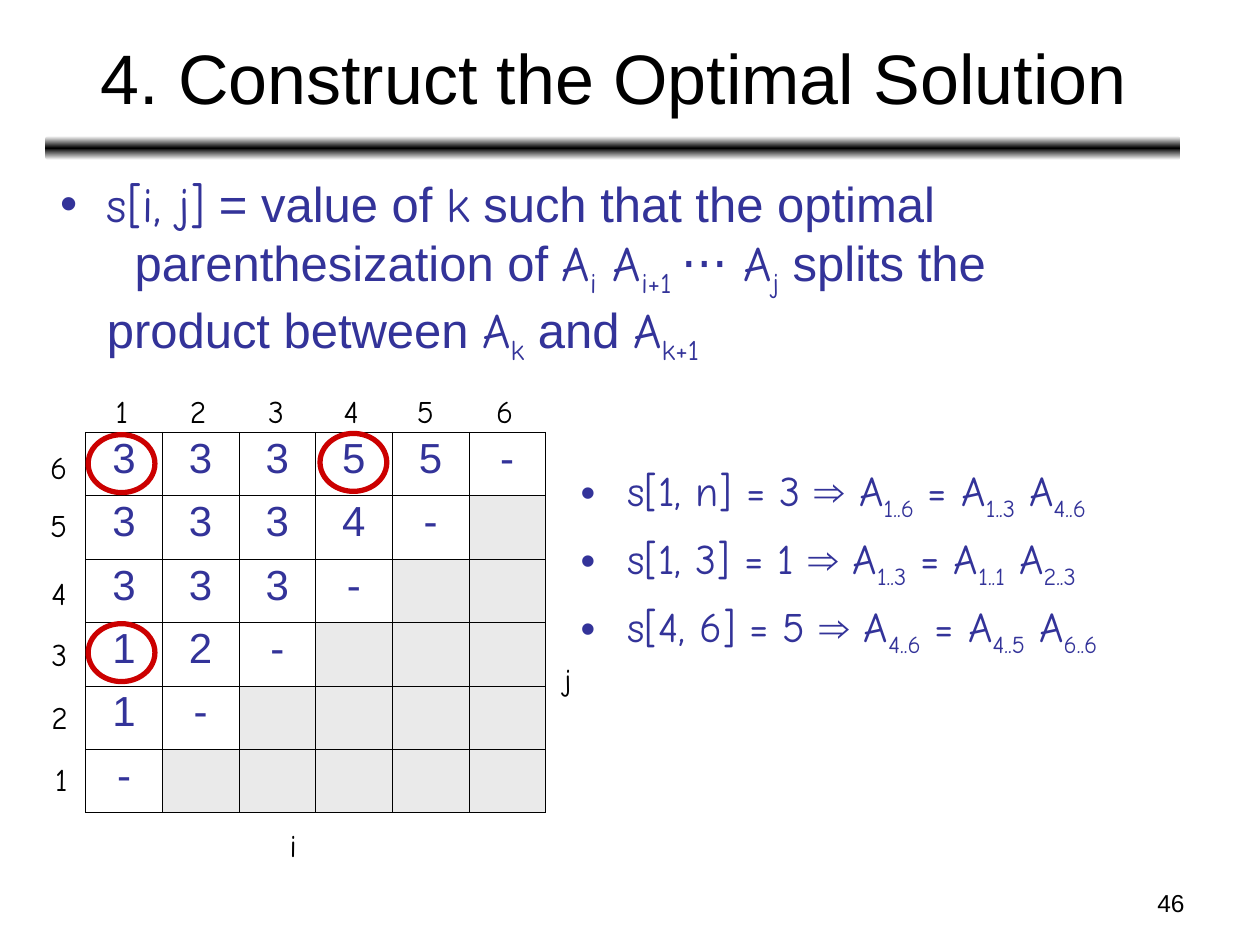
from copy import deepcopy

from lxml.etree import SubElement
from pptx import Presentation
from pptx.dml.color import RGBColor
from pptx.enum.shapes import MSO_SHAPE
from pptx.enum.text import MSO_ANCHOR, MSO_AUTO_SIZE, PP_ALIGN
from pptx.oxml import parse_xml
from pptx.oxml.ns import nsdecls, qn
from pptx.util import Inches, Pt

SANS = "Arial"
HAND = "Comic Neue"
BLACK, INDIGO, RED, GREY = "000000", "333399", "CC0000", "EAEAEA"
SPLITS = ["33355-", "3334-", "333-", "12-", "1-", "-"]


def color(value):
    return RGBColor.from_string(value)


def style(paragraph, size, ink, name=None):
    paragraph.font.size = Pt(size)
    paragraph.font.color.rgb = color(ink)
    if name:
        paragraph.font.name = name


def add_frame(slide, left, top, width, height, wrap=True):
    box = slide.shapes.add_textbox(
        Inches(left), Inches(top), Inches(width), Inches(height))
    box.text_frame.word_wrap = wrap
    return box.text_frame


def add_label(slide, text, left, top, width=0.33):
    frame = add_frame(slide, left, top, width, 0.4, wrap=False)
    frame.auto_size = MSO_AUTO_SIZE.SHAPE_TO_FIT_TEXT
    frame.text = text
    style(frame.paragraphs[0], 18, BLACK, HAND)


def add_line(slide, text, place, size, align, anchor=MSO_ANCHOR.TOP):
    frame = add_frame(slide, *place)
    frame.vertical_anchor = anchor
    frame.text = text
    frame.paragraphs[0].alignment = align
    style(frame.paragraphs[0], size, BLACK, SANS)


def set_indent(paragraph, first_line, bullet=False):
    props = paragraph._p.get_or_add_pPr()
    props.set("marL", str(Inches(0.37)))
    props.set("indent", str(Inches(first_line)))
    if bullet:
        SubElement(props, qn("a:buFont")).set("typeface", SANS)
        SubElement(props, qn("a:buChar")).set("char", "•")
    else:
        SubElement(props, qn("a:buNone"))


def add_run(paragraph, text, name, subscript=False):
    run = paragraph.add_run()
    run.text = text
    run.font.name = name
    if subscript:
        run.font._element.set("baseline", "-25000")


def add_product(paragraph, subscript, lead=""):
    add_run(paragraph, lead + "A", HAND)
    add_run(paragraph, subscript, HAND, subscript=True)


def add_definition(slide):
    frame = add_frame(slide, 0.38, 1.33, 9, 1.65)
    opening = frame.paragraphs[0]
    set_indent(opening, -0.37, bullet=True)
    style(opening, 28, INDIGO)
    add_run(opening, "s[i, j]", HAND)
    add_run(opening, " = value of ", SANS)
    add_run(opening, "k", HAND)
    add_run(opening, " such that the optimal", SANS)

    rest = frame.add_paragraph()
    set_indent(rest, 0.22)
    style(rest, 28, INDIGO)
    add_run(rest, "parenthesization of ", SANS)
    add_product(rest, "i")
    add_product(rest, "i+1 ", lead=" ")
    add_run(rest, "⋅⋅⋅", SANS)
    add_product(rest, "j", lead=" ")
    add_run(rest, " splits the", SANS)
    rest.add_line_break()
    add_run(rest, "product between ", SANS)
    add_product(rest, "k")
    add_run(rest, " and ", SANS)
    add_product(rest, "k+1")


def add_steps(slide, steps):
    frame = add_frame(slide, 4.51, 3.64, 5.15, 2.37)
    for index, (entry, whole, left_part, right_part) in enumerate(steps):
        step = frame.add_paragraph() if index else frame.paragraphs[0]
        set_indent(step, -0.37, bullet=True)
        if index:
            step.space_before = Pt(6)
        style(step, 24, INDIGO)
        add_run(step, entry + " ", HAND)
        add_run(step, "⇒", SANS)
        add_product(step, whole, lead=" ")
        add_product(step, left_part, lead=" = ")
        add_product(step, right_part, lead=" ")


def set_borders(cell, outer_sides):
    props = cell._tc.get_or_add_tcPr()
    for index, side in enumerate("LRTB"):
        width = Pt(0.5 if side in outer_sides else 0.23)
        props.insert(index, parse_xml(
            f'<a:ln{side} {nsdecls("a")} w="{width}"><a:solidFill>'
            f'<a:srgbClr val="{BLACK}"/></a:solidFill></a:ln{side}>'))


def add_split_table(slide):
    count = len(SPLITS)
    table = slide.shapes.add_table(
        count, count, Inches(0.68), Inches(3.43),
        Inches(3.65), Inches(3.02)).table
    table.first_row = False
    table.horz_banding = False
    for row, values in enumerate(SPLITS):
        for column in range(count):
            cell = table.cell(row, column)
            outer = {"L": column == 0, "R": column == count - 1,
                     "T": row == 0, "B": row == count - 1}
            set_borders(cell, [side for side in outer if outer[side]])
            if column >= len(values):
                cell.fill.solid()
                cell.fill.fore_color.rgb = color(GREY)
                continue
            cell.fill.background()
            cell.text = values[column]
            split = cell.text_frame.paragraphs[0]
            split.alignment = PP_ALIGN.CENTER
            split.line_spacing = 0.93
            style(split, 24, INDIGO, SANS)


def add_axis_labels(slide):
    for number, left in enumerate([0.82, 1.41, 2.03, 2.63, 3.21, 3.84], 1):
        add_label(slide, str(number), left, 3.06)
    row_places = [(0.34, 5.98), (0.31, 5.49), (0.31, 4.99),
                  (0.31, 4.51), (0.3, 3.97), (0.3, 3.51)]
    for number, (left, top) in enumerate(row_places, 1):
        add_label(slide, str(number), left, top)
    add_label(slide, "i", 2.2, 6.51, 0.25)
    add_label(slide, "j", 4.38, 5.19, 0.26)


def add_ring(slide, left, top):
    ring = slide.shapes.add_shape(
        MSO_SHAPE.OVAL, Inches(left), Inches(top), Inches(0.53), Inches(0.46))
    ring.shadow.inherit = False
    ring.fill.background()
    ring.line.color.rgb = color(RED)
    ring.line.width = Pt(3)


def add_title_rule(slide):
    rule = slide.shapes.add_shape(
        MSO_SHAPE.ROUNDED_RECTANGLE,
        Inches(0.36), Inches(1.08), Inches(9.01), Inches(0.19))
    rule.shadow.inherit = False
    rule.line.fill.background()
    rule.fill.gradient()
    rule.fill.gradient_angle = 90
    stops = rule._element.spPr.find(".//" + qn("a:gsLst"))
    stops.insert(1, deepcopy(stops[0]))
    shades = [(0, "FFFFFF"), (0.5, BLACK), (1, "FFFFFF")]
    for stop, (position, shade) in zip(rule.fill.gradient_stops, shades):
        stop.position = position
        stop.color.rgb = color(shade)


def main():
    deck = Presentation()
    deck.slide_width, deck.slide_height = Inches(10), Inches(7.5)
    slide = deck.slides.add_slide(deck.slide_layouts[6])
    add_title_rule(slide)
    add_line(slide, "46", (7.17, 7, 2.33, 0.35), 14, PP_ALIGN.RIGHT)
    add_line(slide, "4. Construct the Optimal Solution",
             (0.37, 0.11, 9, 0.99), 40, PP_ALIGN.CENTER, MSO_ANCHOR.MIDDLE)
    add_definition(slide)
    add_split_table(slide)
    add_axis_labels(slide)
    add_steps(slide, [
        ("s[1, n] = 3", "1..6", "1..3", "4..6"),
        ("s[1, 3] = 1", "1..3", "1..1", "2..3"),
        ("s[4, 6] = 5", "4..6", "4..5", "6..6"),
    ])
    for left, top in [(0.7, 3.45), (0.7, 4.95), (2.54, 3.44)]:
        add_ring(slide, left, top)
    deck.save("out.pptx")


if __name__ == "__main__":
    main()
